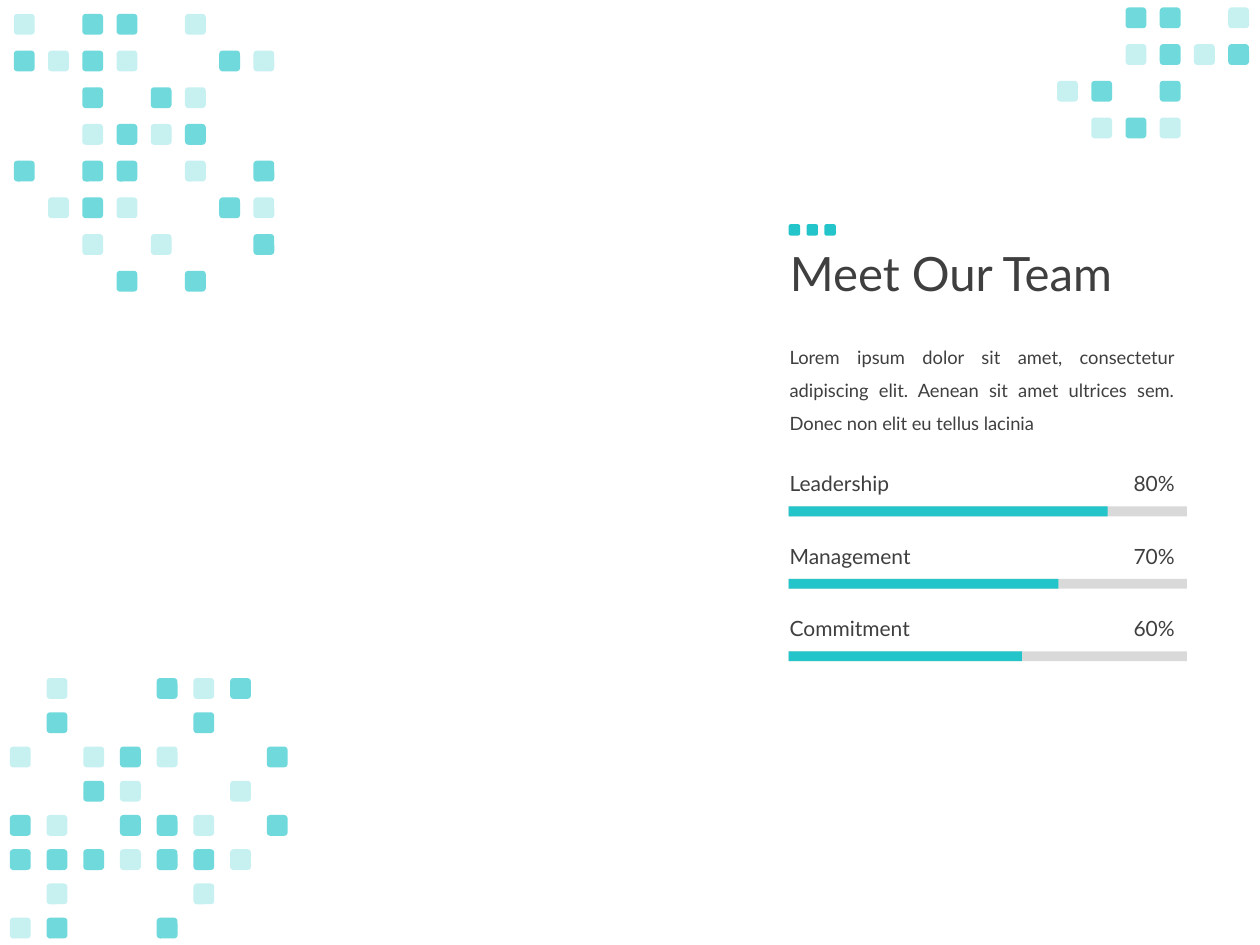
from lxml import etree
from pptx import Presentation
from pptx import util as u
from pptx.dml.color import RGBColor
from pptx.enum import shapes, text
from pptx.oxml.ns import qn

COLORS = {"teal": "23C5CA", "track": "D9D9D9", "ink": "3F3F3F"}


def write(frame, words, size=12, align=text.PP_ALIGN.LEFT, spacing=1.0,
          anchor=text.MSO_ANCHOR.MIDDLE, fit=text.MSO_AUTO_SIZE.SHAPE_TO_FIT_TEXT):
    frame.word_wrap = True
    frame.auto_size = fit
    frame.vertical_anchor = anchor
    line = frame.paragraphs[0]
    line.alignment = align
    line.line_spacing = spacing
    run = line.add_run()
    run.text = words
    run.font.name = "Lato"
    run.font.size = u.Pt(size)
    run.font.color.rgb = RGBColor.from_string(COLORS["ink"])


def block(parent, kind, left, top, width, height, color, opacity=100):
    piece = parent.add_shape(kind, u.Cm(left), u.Cm(top), u.Cm(width), u.Cm(height))
    piece.shadow.inherit = False
    piece.line.fill.background()
    piece.fill.solid()
    piece.fill.fore_color.rgb = RGBColor.from_string(COLORS[color])
    if opacity < 100:
        tint = piece.fill._xPr.find(".//" + qn("a:srgbClr"))
        etree.SubElement(tint, qn("a:alpha")).set("val", str(opacity * 1000))


deck = Presentation()
deck.slide_width = u.Cm(25.4)
deck.slide_height = u.Cm(19.05)
slide = deck.slides.add_slide(deck.slide_layouts[5])
canvas = slide.shapes

ROUNDED = shapes.MSO_SHAPE.ROUNDED_RECTANGLE
OPACITY = {"D": 65, "l": 25}
mosaics = [
    (0.28, 0.28, 0.69, 0.74, [
        "l.DD.l..",
        "DlDl..Dl",
        "..D.Dl..",
        "..lDlD..",
        "D.DD.l.D",
        ".lDl..Dl",
        "..l.l..D",
        "...D.D..",
    ]),
    (0.2, 13.67, 0.74, 0.69, [
        ".l..DlD.",
        ".D...D..",
        "l.lDl..D",
        "..Dl..l.",
        "Dl.DDl.D",
        "DDDlDDl.",
        ".l...l..",
        "lD..D...",
    ]),
    (21.31, 0.15, 0.69, 0.74, [
        "..DD.l",
        "..lDlD",
        "lD.D..",
        ".lDl..",
    ]),
]
for left, top, step_x, step_y, rows in mosaics:
    mosaic = canvas.add_group_shape().shapes
    for row, marks in enumerate(rows):
        for column, mark in enumerate(marks):
            if mark in OPACITY:
                block(mosaic, ROUNDED, left + column * step_x, top + row * step_y,
                      0.42, 0.42, "teal", OPACITY[mark])

heading = canvas.title
heading.left, heading.top = u.Cm(15.67), u.Cm(3.73)
heading.width, heading.height = u.Cm(21.89), u.Cm(3.68)
write(heading.text_frame, "Meet Our Team", size=27, spacing=0.9,
      fit=text.MSO_AUTO_SIZE.NONE)

accent = canvas.add_group_shape().shapes
for index in range(3):
    block(accent, ROUNDED, 15.9 + index * 0.36, 4.52, 0.23, 0.23, "teal")

intro = canvas.add_textbox(u.Cm(15.67), u.Cm(6.63), u.Cm(8.26), u.Cm(2.18))
write(intro.text_frame,
      "Lorem ipsum dolor sit amet, consectetur adipiscing elit. "
      "Aenean sit amet ultrices sem. Donec non elit eu tellus lacinia",
      size=10.5, align=text.PP_ALIGN.JUSTIFY, spacing=1.5, anchor=text.MSO_ANCHOR.TOP)

skills = [("Leadership", "80%", 6.43), ("Management", "70%", 5.44), ("Commitment", "60%", 4.7)]
for index, (skill, share, filled) in enumerate(skills):
    top = 9.37 + index * 1.46
    label = canvas.add_textbox(u.Cm(15.67), u.Cm(top), u.Cm(3.94), u.Cm(0.76))
    write(label.text_frame, skill)
    percent = canvas.add_textbox(u.Cm(21.92), u.Cm(top), u.Cm(2.01), u.Cm(0.76))
    write(percent.text_frame, share, align=text.PP_ALIGN.RIGHT)
    for length, color in ((8.03, "track"), (filled, "teal")):
        block(canvas, shapes.MSO_SHAPE.RECTANGLE, 15.9, top + 0.84, length, 0.2, color)

deck.save("out.pptx")
